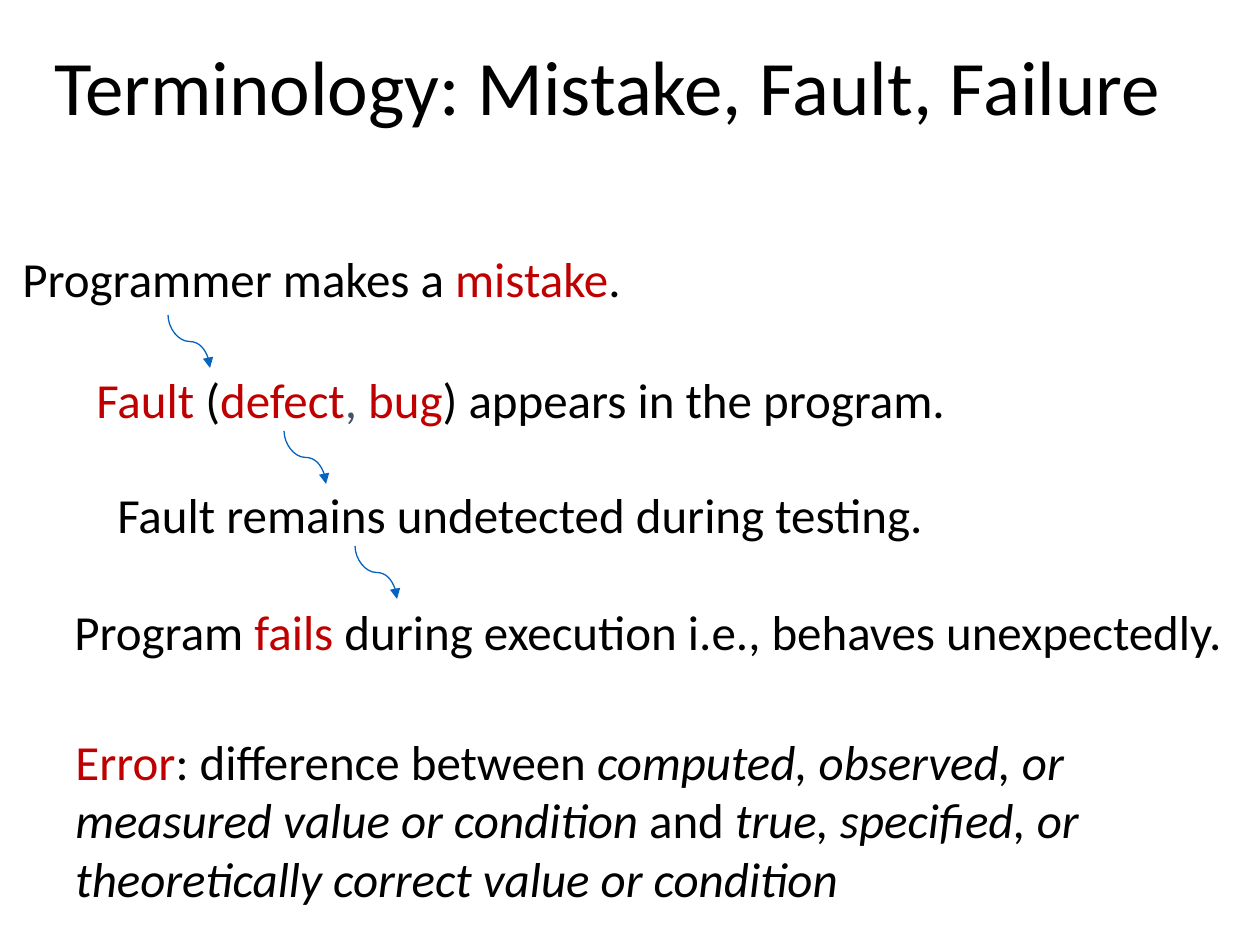
from dataclasses import dataclass

import pptx
import pptx.dml.color
import pptx.enum.dml
import pptx.enum.shapes
import pptx.enum.text
import pptx.oxml
import pptx.oxml.ns
import pptx.util

EMU_PER_PX = 914400 / 126


@dataclass(frozen=True)
class Theme:
    font: str = "Calibri"
    ink: str = "000000"
    key: str = "C00000"
    muted: str = "44546A"
    arrow: str = "0563C1"
    title_size: int = 44
    body_size: int = 28
    arrow_width: float = 0.75


THEME = Theme()


@dataclass(frozen=True)
class Span:
    text: str
    color: str = THEME.ink
    italic: bool = False


@dataclass(frozen=True)
class Statement:
    left: int
    top: int
    width: int
    height: int
    spans: tuple[Span, ...]
    wrap: bool = False


@dataclass(frozen=True)
class Arrow:
    """A curved step from its start point down to the next statement."""
    left: int
    top: int
    across: int = 42
    down: int = 53


TITLE = Statement(42, 42, 1194, 98, (Span("Terminology: Mistake, Fault, Failure"),), True)

STATEMENTS = (
    Statement(10, 242, 630, 72, (
        Span("Programmer makes a "), Span("mistake", THEME.key), Span("."))),
    Statement(84, 363, 883, 72, (
        Span("Fault ", THEME.key), Span("("), Span("defect", THEME.key),
        Span(", ", THEME.muted), Span("bug", THEME.key),
        Span(") appears in the program."))),
    Statement(105, 478, 858, 72, (
        Span("Fault remains undetected during testing."),)),
    Statement(62, 595, 1174, 72, (
        Span("Program "), Span("fails ", THEME.key),
        Span("during execution i.e., behaves unexpectedly.")), True),
    Statement(63, 725, 1155, 190, (
        Span("Error", THEME.key), Span(": difference between "),
        Span("computed, observed, or measured value or condition ", italic=True),
        Span("and "),
        Span("true, specified, or theoretically correct value or condition", italic=True)),
        True),
)

ARROWS = (Arrow(168, 315), Arrow(284, 431), Arrow(355, 546))


def px(length: float) -> pptx.util.Emu:
    return pptx.util.Emu(round(length * EMU_PER_PX))


def rgb(color: str) -> pptx.dml.color.RGBColor:
    return pptx.dml.color.RGBColor.from_string(color)


def add_text(page, text: Statement, *, size: int, line_spacing: float = 1.0,
             anchor=pptx.enum.text.MSO_ANCHOR.TOP, grow: bool = True) -> None:
    box = page.shapes.add_textbox(px(text.left), px(text.top), px(text.width), px(text.height))
    frame = box.text_frame
    frame.word_wrap = text.wrap
    frame.vertical_anchor = anchor
    if grow:
        frame.auto_size = pptx.enum.text.MSO_AUTO_SIZE.SHAPE_TO_FIT_TEXT
    para = frame.paragraphs[0]
    para.line_spacing = line_spacing
    for span in text.spans:
        run = para.add_run()
        run.text = span.text
        run.font.name = THEME.font
        run.font.size = pptx.util.Pt(size)
        run.font.italic = span.italic
        run.font.color.rgb = rgb(span.color)


def add_arrow(page, arrow: Arrow) -> None:
    """Draw a curve mirrored and turned by 270 degrees, so it leaves and arrives vertically."""
    center_x = arrow.left + arrow.across / 2
    center_y = arrow.top + arrow.down / 2
    half_width, half_height = arrow.down / 2, arrow.across / 2
    connector = page.shapes.add_connector(
        pptx.enum.shapes.MSO_CONNECTOR.CURVE,
        px(center_x + half_width), px(center_y - half_height),
        px(center_x - half_width), px(center_y + half_height))
    connector.line.color.rgb = rgb(THEME.arrow)
    connector.line.width = pptx.util.Pt(THEME.arrow_width)
    properties = connector._element.spPr
    properties.find(pptx.oxml.ns.qn("a:xfrm")).set("rot", str(270 * 60000))
    namespace = pptx.oxml.ns.nsdecls("a")
    connector.line._get_or_add_ln().append(
        pptx.oxml.parse_xml(f'<a:tailEnd {namespace} type="triangle"/>'))
    properties.append(pptx.oxml.parse_xml(f"<a:effectLst {namespace}/>"))


def main() -> None:
    deck = pptx.Presentation()
    deck.slide_width, deck.slide_height = px(1260), px(945)
    page = deck.slides.add_slide(deck.slide_layouts[6])
    add_text(page, TITLE, size=THEME.title_size, line_spacing=0.9,
             anchor=pptx.enum.text.MSO_ANCHOR.MIDDLE, grow=False)
    for statement in STATEMENTS:
        add_text(page, statement, size=THEME.body_size)
    for arrow in ARROWS:
        add_arrow(page, arrow)
    deck.save("out.pptx")


if __name__ == "__main__":
    main()
